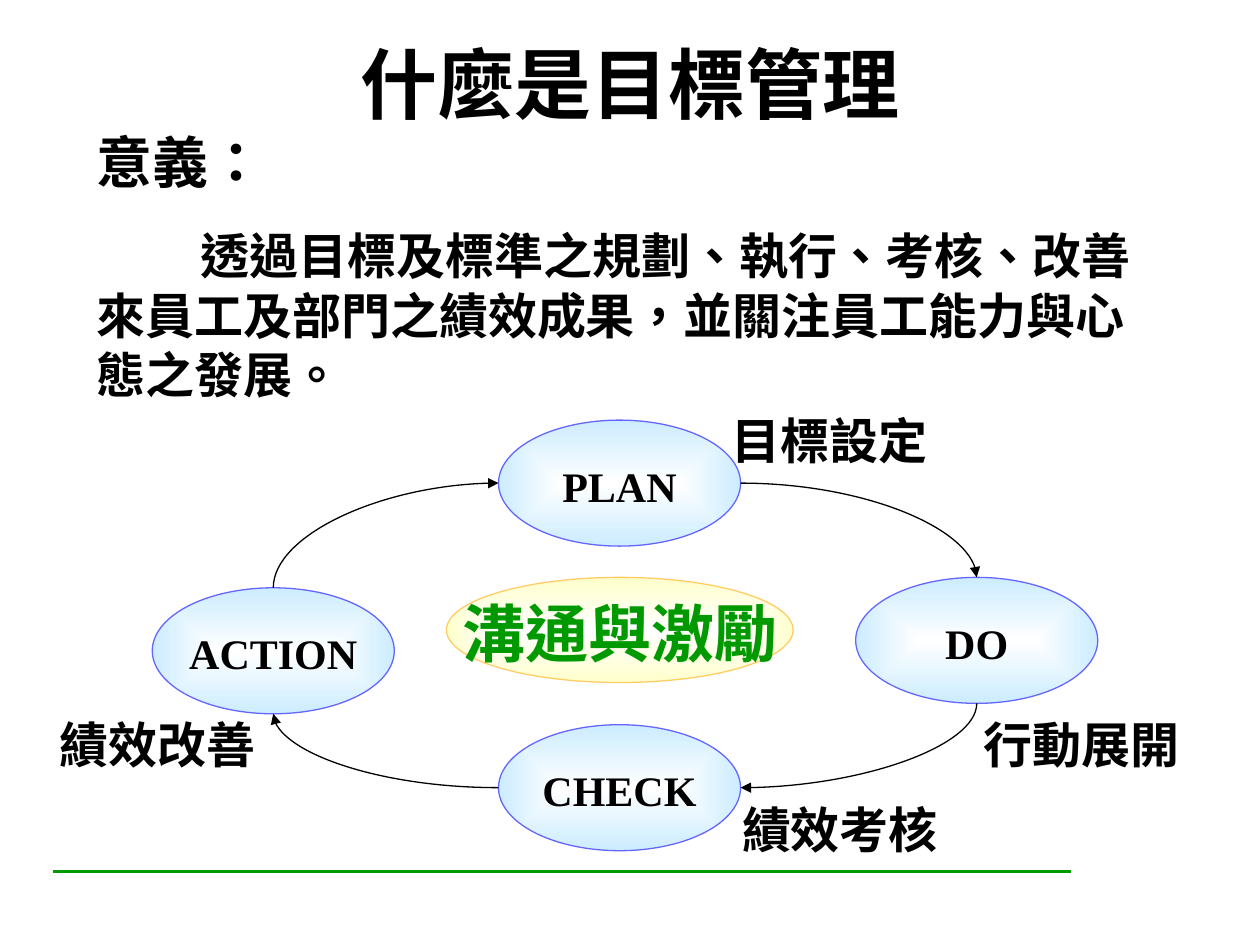
from dataclasses import dataclass

from lxml.etree import SubElement
from pptx import Presentation
from pptx.dml.color import RGBColor
from pptx.enum.shapes import MSO_CONNECTOR, MSO_SHAPE
from pptx.enum.text import MSO_ANCHOR, PP_ALIGN
from pptx.oxml import parse_xml
from pptx.oxml.ns import nsdecls, qn
from pptx.util import Cm, Pt

# Ellipse connection sites: index, horizontal and vertical share of the shape
TOP, LEFT, BOTTOM, RIGHT = (0, 0.5, 0), (2, 0, 0.5), (4, 0.5, 1), (6, 1, 0.5)


@dataclass(frozen=True)
class Theme:
    ink: str = "000000"
    green: str = "009900"
    white: str = "FFFFFF"
    step_fill: str = "CCECFF"
    step_line: str = "6666FF"
    core_fill: str = "FFFFCC"
    core_line: str = "FFCC66"
    latin: str = "Times New Roman"
    chinese: str = "Noto Sans CJK SC"
    title: int = 44
    core: int = 36
    heading: int = 32
    body: int = 28
    step: int = 24
    line_height: float = 1.21


class SlideBuilder:
    def __init__(self, slide, theme):
        self.slide = slide
        self.theme = theme

    def set_frame(self, frame, anchor, wrap):
        frame.word_wrap = wrap
        frame.vertical_anchor = anchor
        frame.margin_left = frame.margin_right = Cm(0.25)
        frame.margin_top, frame.margin_bottom = Cm(0.22), Cm(0.13)

    def add_run(self, paragraph, text, size, color=None, latin=None):
        run = paragraph.add_run()
        run.text = text
        font = run.font
        font.name = latin or self.theme.latin
        font.size, font.bold = Pt(size), True
        font.color.rgb = RGBColor.from_string(color or self.theme.ink)
        properties = run._r.get_or_add_rPr()
        if not text.isascii():
            properties.set("lang", "zh-TW")
            paragraph.line_spacing = Pt(round(size * self.theme.line_height, 1))
        east_asian = SubElement(properties, qn("a:ea"))
        east_asian.set("typeface", self.theme.chinese)

    def text_box(self, left, top, width, height, anchor=MSO_ANCHOR.TOP):
        shape = self.slide.shapes.add_textbox(Cm(left), Cm(top), Cm(width), Cm(height))
        self.set_frame(shape.text_frame, anchor, True)
        return shape.text_frame

    def label(self, left, top, text):
        frame = self.text_box(left, top, 4.88, 1.45)
        self.add_run(frame.paragraphs[0], text, self.theme.body)

    def ellipse(self, left, top, width, height, text, size, fill, line, color=None):
        shape = self.slide.shapes.add_shape(
            MSO_SHAPE.OVAL, Cm(left), Cm(top), Cm(width), Cm(height))
        shape.shadow.inherit = False
        shape.line.color.rgb = RGBColor.from_string(line)
        shape.line.width = Pt(0.75)
        # Gradient from a white centre to the tinted edge
        gradient = parse_xml(
            f'<a:gradFill {nsdecls("a")} rotWithShape="1"><a:gsLst>'
            f'<a:gs pos="0"><a:srgbClr val="{self.theme.white}"/></a:gs>'
            f'<a:gs pos="100000"><a:srgbClr val="{fill}"/></a:gs></a:gsLst>'
            '<a:path path="rect"><a:fillToRect l="50000" t="50000" r="50000" b="50000"/>'
            '</a:path></a:gradFill>')
        shape._element.spPr.find(qn("a:prstGeom")).addnext(gradient)
        self.set_frame(shape.text_frame, MSO_ANCHOR.MIDDLE, False)
        paragraph = shape.text_frame.paragraphs[0]
        paragraph.alignment = PP_ALIGN.CENTER
        self.add_run(paragraph, text, size, color)
        return shape

    def line(self, kind, begin, end, color, width):
        connector = self.slide.shapes.add_connector(kind, *begin, *end)
        connector.line.color.rgb = RGBColor.from_string(color)
        connector.line.width = Pt(width)
        SubElement(connector._element.spPr, qn("a:effectLst"))
        return connector

    def curved_arrow(self, source, source_site, target, target_site):
        (x1, y1), (x2, y2) = (
            (shape.left + shape.width * across, shape.top + shape.height * down)
            for shape, (_, across, down) in ((source, source_site), (target, target_site)))
        starts_vertical = source_site in (TOP, BOTTOM)
        run_x, run_y = x2 - x1, y2 - y1
        if starts_vertical:  # the quarter curve is turned by 90 degrees
            run_x, run_y = run_y, -run_x
        middle_x, middle_y = (x1 + x2) / 2, (y1 + y2) / 2
        begin = int(middle_x - run_x / 2), int(middle_y - run_y / 2)
        end = int(middle_x + run_x / 2), int(middle_y + run_y / 2)
        connector = self.line(MSO_CONNECTOR.CURVE, begin, end, self.theme.ink, 0.75)

        element = connector._element
        element.spPr.find(qn("a:prstGeom")).set("prst", "curvedConnector2")
        if starts_vertical:
            element.spPr.find(qn("a:xfrm")).set("rot", "5400000")
        SubElement(element.spPr.find(qn("a:ln")), qn("a:tailEnd")).set("type", "triangle")
        links = element.nvCxnSpPr.cNvCxnSpPr
        for link, shape, site in (
                (links.get_or_add_stCxn(), source, source_site),
                (links.get_or_add_endCxn(), target, target_site)):
            link.id, link.idx = shape.shape_id, site[0]


def main():
    theme = Theme()
    presentation = Presentation()
    presentation.slide_width, presentation.slide_height = Cm(25.4), Cm(19.05)
    slide = presentation.slides.add_slide(presentation.slide_layouts[6])
    builder = SlideBuilder(slide, theme)

    # Footer rule
    builder.line(MSO_CONNECTOR.STRAIGHT, (Cm(1.07), Cm(17.57)), (Cm(21.59), Cm(17.57)),
                 theme.green, 1.5)

    # Title
    title = builder.text_box(2.06, 0.19, 21.28, 2.87, MSO_ANCHOR.MIDDLE).paragraphs[0]
    title.alignment = PP_ALIGN.CENTER
    builder.add_run(title, "什麼是目標管理", theme.title, latin=theme.chinese)

    # Meaning
    meaning = builder.text_box(1.7, 2.34, 22.02, 5.79)
    builder.add_run(meaning.paragraphs[0], "意義：", theme.heading)
    definition = meaning.add_paragraph()
    definition.space_before = Pt(17.5)
    definition._p.get_or_add_pPr().set("indent", str(Cm(2.1)))
    builder.add_run(
        definition,
        "透過目標及標準之規劃、執行、考核、改善來員工及部門之績效成果，並關注員工能力與心態之發展。",
        theme.body)

    # Cycle steps
    steps = {
        name: builder.ellipse(left, top, 4.88, 2.54, name, theme.step,
                              theme.step_fill, theme.step_line)
        for name, left, top in (
            ("ACTION", 3.07, 11.85), ("PLAN", 10.05, 8.47),
            ("DO", 17.25, 11.64), ("CHECK", 10.05, 14.61))}

    # Arrows between steps
    for source, source_site, target, target_site in (
            ("ACTION", TOP, "PLAN", LEFT), ("CHECK", LEFT, "ACTION", BOTTOM),
            ("DO", BOTTOM, "CHECK", RIGHT), ("PLAN", RIGHT, "DO", TOP)):
        builder.curved_arrow(steps[source], source_site, steps[target], target_site)

    # Core of the cycle
    builder.ellipse(9, 11.64, 6.99, 2.12, "溝通與激勵", theme.core,
                    theme.core_fill, theme.core_line, theme.green)

    # Step labels
    for left, top, text in (
            (14.71, 15.88, "績效考核"), (14.5, 8.05, "目標設定"),
            (19.58, 14.18, "行動展開"), (0.95, 14.18, "績效改善")):
        builder.label(left, top, text)

    presentation.save("out.pptx")


if __name__ == "__main__":
    main()
